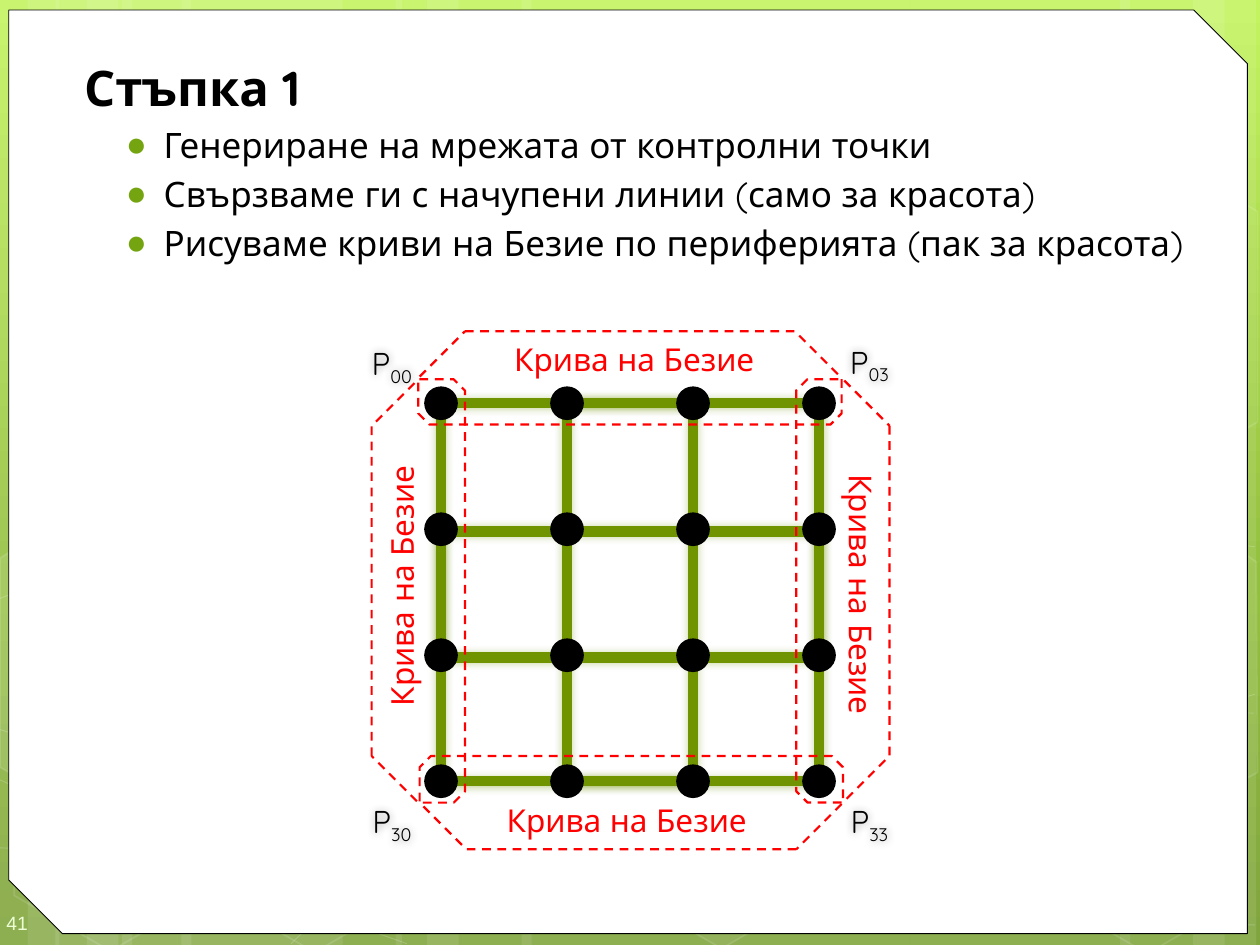
from itertools import product
from pptx import Presentation
from pptx.dml.color import RGBColor
from pptx.enum.dml import MSO_LINE
from pptx.enum.shapes import MSO_SHAPE as SHAPE
from pptx.enum.text import MSO_ANCHOR as ANCHOR, PP_ALIGN as ALIGN
from pptx.oxml import parse_xml
from pptx.oxml.ns import nsdecls, qn
from pptx.util import Inches, Pt
from lxml.etree import SubElement

WHITE = RGBColor(0xFF, 0xFF, 0xFF)
BLACK = RGBColor(0, 0, 0)
RED = RGBColor(0xFF, 0, 0)
GREEN = RGBColor(0x6F, 0x94, 0x00)
BULLET = RGBColor(0x74, 0xA5, 0x10)
PALE = RGBColor(0xEE, 0xFF, 0xD6)
FONT = "Quicksand"

TITLE = "Стъпка 1"
BULLETS = [
    "Генериране на мрежата от контролни точки",
    "Свързваме ги с начупени линии (само за красота)",
    "Рисуваме криви на Безие по периферията (пак за красота)",
]
CURVE_LABEL = "Крива на Безие"
CORNERS = [("00", 2.84, 2.68), ("03", 6.63, 2.67), ("30", 2.84, 6.32), ("33", 6.63, 6.32)]
# outline left, top, rotation; label left, top, rotation
SIDES = [
    (5.01, 4.32, 90, 5.75, 4.52, 90),
    (1.64, 4.32, 270, 2.1, 4.45, 270),
    (3.32, 2.63, 0, 3.95, 2.65, 0),
    (3.33, 6, 180, 3.89, 6.31, 0),
]
GRID_X, GRID_Y, CELL, COUNT, DOT = 3.5, 3.2, 1, 4, 0.25

STRIPES = [  # left, width
    (0.97, 1.75), (0, 0.47), (0.22, 0.83), (1.44, 1.75), (0.44, 0.5), (0.69, 0.83),
    (7.22, 1.75), (9.47, 0.5), (8.89, 0.83), (4.14, 3.08), (3.14, 0.5), (3.39, 0.83),
]
HEXAGONS = [(4.85, 5.89, 6), (0, 5.91, 0), (1.62, 5.92, 0), (8.23, 5.93, 0)]  # left, top, fill %
EDGE_POLYGONS = [  # points, fill %
    ([(0, 4.43), (0.08, 4.38), (0.85, 4.82), (0.84, 5.7), (0.09, 6.14), (0, 6.09)], 10),
    ([(9.15, 4.85), (9.9, 4.41), (9.97, 4.46), (9.98, 6.13), (9.91, 6.17), (9.14, 5.73)], 4),
    ([(9.15, 2.07), (9.9, 1.63), (9.98, 1.68), (9.98, 3.35), (9.91, 3.39), (9.14, 2.95)], 0),
]
WAVES = [
    [(0, 6.73), (1.79, 6.78), (4.47, 6.65), (7.8, 6.17), (9.96, 5.51)],
    [(0, 4.75), (1.1, 4.31), (3.36, 3.87), (6.43, 3.87), (9.96, 4.34)],
    [(0, 6.19), (1.72, 6.95), (3.23, 7.49)],
    [(0, 5.79), (1.17, 6.16), (3.45, 6.73), (6.17, 7.18), (8.41, 7.36), (9.96, 7.34)],
    [(2.31, 7.49), (2.91, 6.91), (3.76, 6.39), (4.58, 6.09), (5.97, 5.78), (7.83, 5.62),
     (9.95, 5.66)],
]

prs = Presentation()
prs.slide_width, prs.slide_height = Inches(10), Inches(7.5)
s = prs.slides.add_slide(prs.slide_layouts[6])


def paint(fmt, color, alpha=100):
    fmt.solid()
    fmt.fore_color.rgb = color
    if alpha < 100:
        clr = fmt._xPr.find(".//" + qn("a:srgbClr"))
        SubElement(clr, qn("a:alpha"), val=str(alpha * 1000))


def style(sp, fill=None, alpha=100, line=None, width=1, line_alpha=100):
    sp.shadow.inherit = False
    if fill is None or alpha == 0:
        sp.fill.background()
    else:
        paint(sp.fill, fill, alpha)
    if line is None:
        sp.line.fill.background()
    else:
        sp.line.width = Pt(width)
        paint(sp.line.fill, line, line_alpha)
    return sp


def add_glow(sp, color):
    """Give a soft shadow without offset."""
    sp.shadow.inherit = False
    sp._element.spPr.find(qn("a:effectLst")).append(parse_xml(
        f'<a:outerShdw {nsdecls("a")} blurRad="{Pt(5)}" dist="0" dir="0" rotWithShape="0">'
        f'<a:srgbClr val="{color}"><a:alpha val="40000"/></a:srgbClr></a:outerShdw>'))


def add_shape(kind, x, y, w, h, rotation=0, parent=s, **look):
    sp = parent.shapes.add_shape(kind, *map(Inches, (x, y, w, h)))
    sp.rotation = rotation
    return style(sp, **look)


def add_path(points, closed, **look):
    pts = [(Inches(x), Inches(y)) for x, y in points]
    builder = s.shapes.build_freeform(*pts[0])
    builder.add_line_segments(pts[1:], close=closed)
    return style(builder.convert_to_shape(), **look)


def add_text(x, y, w, h, parent=s, wrap=False):
    tb = parent.shapes.add_textbox(*map(Inches, (x, y, w, h)))
    tb.text_frame.word_wrap = wrap
    return tb


def add_run(p, text, size, color=BLACK, **fmt):
    r = p.add_run()
    r.text = text
    r.font.color.rgb = color
    for name, value in {"name": FONT, "size": Pt(size), **fmt}.items():
        setattr(r.font, name, value)
    return r


# Background
s.background.fill.gradient()
grad = s._element.find(".//" + qn("a:gradFill"))
stops = "".join(f'<a:gs pos="{pos * 1000}"><a:srgbClr val="{c}"/></a:gs>'
                for pos, c in ((0, "C3F35F"), (62, "93BF3F"), (100, "81A53E")))
grad.replace(grad.find(qn("a:gsLst")), parse_xml(f'<a:gsLst {nsdecls("a")}>{stops}</a:gsLst>'))
grad.find(qn("a:lin")).set("ang", "5400000")

for x, w in STRIPES:
    add_shape(SHAPE.RECTANGLE, x, 0, w, 7.5, fill=WHITE, alpha=10)
for wave in WAVES:
    add_path(wave, False, line=WHITE, width=0.5, line_alpha=20)
for x, y, alpha in HEXAGONS:
    hexagon = add_shape(SHAPE.HEXAGON, x, y, 1.75, 1.52, 30, fill=WHITE, alpha=alpha,
                        line=WHITE, line_alpha=12)
    hexagon.adjustments[0] = 0.285
for points, alpha in EDGE_POLYGONS:
    add_path(points, True, fill=WHITE, alpha=alpha, line=WHITE, line_alpha=12)
panel = add_shape(SHAPE.SNIP_2_DIAG_RECTANGLE, 0.07, 0.08, 9.83, 7.33,
                  fill=WHITE, line=BLACK, width=0.5)
panel.adjustments[0], panel.adjustments[1] = 0, 0.058

# Slide number
tf = add_text(0, 7.1, 0.58, 0.4, wrap=True).text_frame
tf.vertical_anchor = ANCHOR.MIDDLE
for side, inset in {"left": 0.05, "top": 0.15, "right": 0, "bottom": 0.1}.items():
    setattr(tf, f"margin_{side}", Inches(inset))
add_run(tf.paragraphs[0], "41", 11, PALE, name="Arial")

# Control net
span = CELL * (COUNT - 1)
for x, y, w, rotation in ((GRID_X, GRID_Y, span, 0), (GRID_X + CELL, GRID_Y, CELL, 0),
                          (GRID_X + CELL, GRID_Y + 0.02, CELL, 90)):
    net = add_shape(SHAPE.RECTANGLE, x, y, w, span, rotation, line=GREEN, width=6)
    add_glow(net, GREEN)

# Heading and bullets
tf = add_text(0.5, 0.41, 9.42, 7.01, wrap=True).text_frame
p = tf.paragraphs[0]
p._p.get_or_add_pPr().set("marL", str(Inches(0.07)))
add_run(p, TITLE, 28, bold=True)
for text in BULLETS:
    p = tf.add_paragraph()
    p.level = 1
    p.space_before = Pt(4)
    pPr = p._p.get_or_add_pPr()
    pPr.set("marL", str(Inches(0.7)))
    pPr.set("indent", str(Inches(-0.3)))
    SubElement(SubElement(pPr, qn("a:buClr")), qn("a:srgbClr"), val=str(BULLET))
    SubElement(pPr, qn("a:buFont"), typeface="Arial")
    SubElement(pPr, qn("a:buChar"), char="●")
    add_run(p, text, 20)

# Control points and corner names
for row, col in product(range(COUNT), repeat=2):
    add_shape(SHAPE.OVAL, GRID_X + col * CELL - DOT / 2, GRID_Y + row * CELL - DOT / 2,
              DOT, DOT, fill=BLACK, line=BLACK, width=1.25)
for index, x, y in CORNERS:
    corner = add_text(x, y, 0.54, 0.4)
    add_glow(corner, BLACK)
    p = corner.text_frame.paragraphs[0]
    p.alignment = ALIGN.CENTER
    add_run(p, "P", 18)
    add_run(p, index, 18).font._element.set("baseline", "-25000")

# Boundary curves
for x, y, rotation, label_x, label_y, label_rotation in SIDES:
    group = s.shapes.add_group_shape()
    outline = add_shape(SHAPE.SNIP_2_SAME_RECTANGLE, x, y, 3.36, 0.74, rotation, group,
                        line=RED, width=1.25)
    outline.line.dash_style = MSO_LINE.DASH
    outline.adjustments[0], outline.adjustments[1] = 0.5, 0.12
    label = add_text(label_x, label_y, 2.17, 0.4, group)
    label.rotation = label_rotation
    p = label.text_frame.paragraphs[0]
    p.alignment = ALIGN.CENTER
    add_run(p, CURVE_LABEL, 18, RED)

prs.save("out.pptx")
